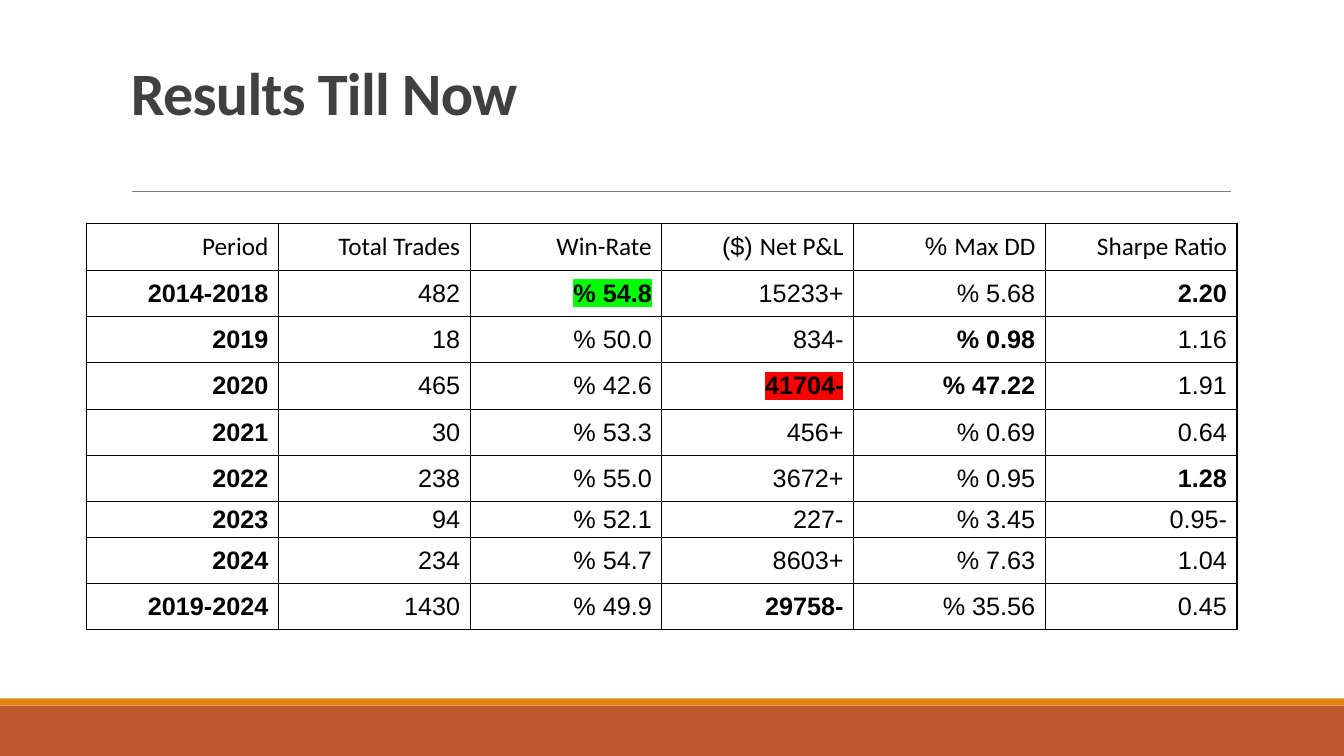
from lxml.etree import SubElement
from pptx import Presentation
from pptx.dml.color import RGBColor
from pptx.enum.shapes import MSO_CONNECTOR as CONNECTOR, MSO_SHAPE as SHAPE
from pptx.enum.text import MSO_ANCHOR as ANCHOR, PP_ALIGN as ALIGN
from pptx.oxml.ns import qn
from pptx.util import Inches, Pt

BLACK = RGBColor(0x00, 0x00, 0x00)
TITLE_GRAY = RGBColor(0x40, 0x40, 0x40)
RULE_GRAY = RGBColor(0x80, 0x80, 0x80)
RUST = RGBColor(0xBD, 0x58, 0x2C)
ORANGE = RGBColor(0xE4, 0x83, 0x12)
GREEN = RGBColor(0x00, 0xFF, 0x00)
RED = RGBColor(0xFF, 0x00, 0x00)
FONT = "Calibri"
DIGIT_FONT = "Arial"

RESULTS = [
    ("Period", "Total Trades", "Win-Rate", "Net P&L\u00a0($)", "Max DD\u00a0%", "Sharpe Ratio"),
    ("2014-2018", "482", "54.8 %", "+15233", "5.68 %", "2.20"),
    ("2019", "18", "50.0 %", "-834", "0.98 %", "1.16"),
    ("2020", "465", "42.6 %", "-41704", "47.22 %", "1.91"),
    ("2021", "30", "53.3 %", "+456", "0.69 %", "0.64"),
    ("2022", "238", "55.0 %", "+3672", "0.95 %", "1.28"),
    ("2023", "94", "52.1 %", "-227", "3.45 %", "-0.95"),
    ("2024", "234", "54.7 %", "+8603", "7.63 %", "1.04"),
    ("2019-2024", "1430", "49.9 %", "-29758", "35.56 %", "0.45"),
]
BOLD_RESULTS = {(1, 2), (1, 5), (2, 4), (3, 3), (3, 4), (5, 5), (8, 3)}
HIGHLIGHTS = {(1, 2): GREEN, (3, 3): RED}
COMPACT_ROW = 6


def write_rtl(paragraph, text, align, size, color, bold):
    """Write one right-to-left paragraph and return its run."""
    paragraph.alignment = align
    paragraph._p.get_or_add_pPr().set("rtl", "1")
    font = paragraph.font
    font.name, font.size, font.bold = FONT, Pt(size), bold
    font.color.rgb = color
    run = paragraph.add_run()
    run.text = text
    return run


def add_footer(slide, left, top, width, height):
    """Draw the footer band with its thin accent strip on top."""
    strip = 0.07
    for y, h, color in ((top + strip, height - strip, RUST), (top, strip, ORANGE)):
        band = slide.shapes.add_shape(
            SHAPE.RECTANGLE, Inches(left), Inches(y), Inches(width), Inches(h))
        band.shadow.inherit = False
        band.fill.solid()
        band.fill.fore_color.rgb = color
        band.line.fill.background()


def add_title(slide, left, top, width, height):
    """Place the title in its box and the rule beneath it."""
    rule_left, rule_y = Inches(left + 0.11), Inches(top + height + 0.58)
    rule = slide.shapes.add_connector(
        CONNECTOR.STRAIGHT, rule_left, rule_y, Inches(left + width + 0.01), rule_y)
    rule.line.color.rgb = RULE_GRAY
    rule.line.width = Pt(0.5)
    SubElement(rule._element.spPr, qn("a:effectLst"))

    title = slide.shapes.add_textbox(
        Inches(left), Inches(top), Inches(width), Inches(height)).text_frame
    title.word_wrap = True
    title.vertical_anchor = ANCHOR.BOTTOM
    heading = title.paragraphs[0]
    heading.line_spacing = 0.85
    run = write_rtl(heading, "Results Till Now", ALIGN.LEFT, 43, TITLE_GRAY, True)
    run._r.get_or_add_rPr().set("spc", "-50")


def add_borders(cell):
    """Give a cell thin black borders on all four sides."""
    properties = cell._tc.get_or_add_tcPr()
    for position, side in enumerate(("a:lnL", "a:lnR", "a:lnT", "a:lnB")):
        border = SubElement(properties, qn(side), w=str(Pt(1)))
        fill = SubElement(border, qn("a:solidFill"))
        SubElement(fill, qn("a:srgbClr"), val=str(BLACK))
        properties.insert(position, border)


def fill_cell(cell, text, bold, highlight):
    """Write and format one table cell."""
    cell.fill.background()
    add_borders(cell)
    cell.vertical_anchor = ANCHOR.MIDDLE
    cell.margin_left = cell.margin_right = Inches(0.1)
    cell.margin_top = cell.margin_bottom = Inches(0.02)
    run = write_rtl(cell.text_frame.paragraphs[0], text, ALIGN.RIGHT, 18, BLACK, bold)
    run_properties = run._r.get_or_add_rPr()
    if highlight:
        mark = SubElement(run_properties, qn("a:highlight"))
        SubElement(mark, qn("a:srgbClr"), val=str(highlight))
    SubElement(run_properties, qn("a:cs"), typeface=DIGIT_FONT)


def add_results(slide, left, top, width, row_height):
    """Build the table of trading results by period."""
    rows, columns = len(RESULTS), len(RESULTS[0])
    table = slide.shapes.add_table(
        rows, columns, Inches(left), Inches(top),
        Inches(width), Inches(row_height * rows)).table
    table.first_row = table.horz_banding = False
    for column in table.columns:
        column.width = Inches(width / columns)
    for r, results in enumerate(RESULTS):
        table.rows[r].height = Inches(0.35 if r == COMPACT_ROW else row_height)
        for c, text in enumerate(results):
            bold = (r > 0 and c == 0) or (r, c) in BOLD_RESULTS
            fill_cell(table.cell(r, c), text, bold, HIGHLIGHTS.get((r, c)))


def main():
    """Build the slide and save it."""
    deck = Presentation()
    deck.slide_width, deck.slide_height = Inches(13.33), Inches(7.5)
    slide = deck.slides.add_slide(deck.slide_layouts[6])
    add_footer(slide, 0, 6.93, 13.33, 0.57)
    add_title(slide, 1.2, -0.27, 11, 1.59)
    add_results(slide, 0.86, 2.22, 11.41, 0.46)
    deck.save("out.pptx")


if __name__ == "__main__":
    main()
